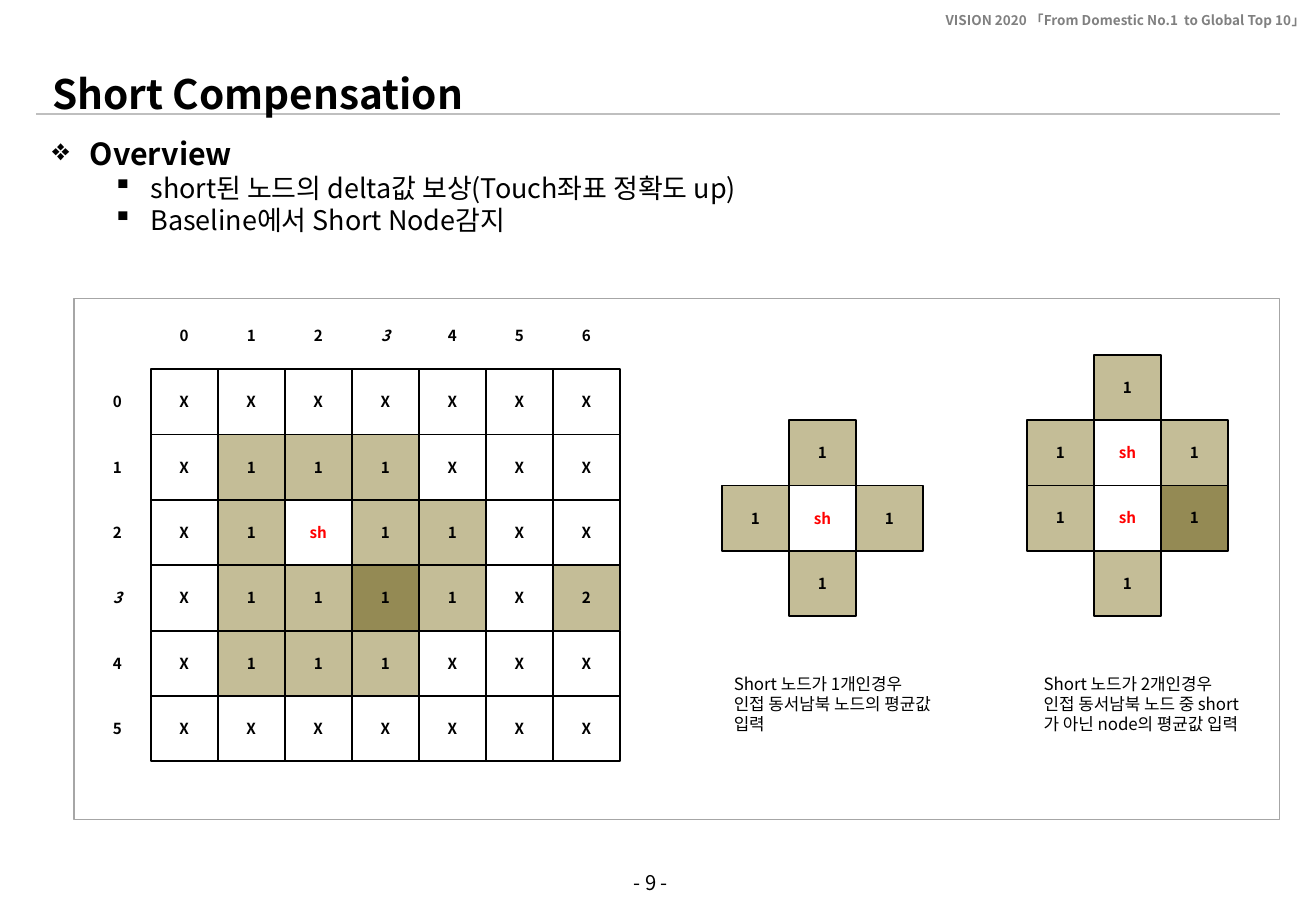
from lxml.etree import SubElement
from pptx import Presentation
from pptx.dml.color import RGBColor
from pptx.enum.shapes import MSO_CONNECTOR, MSO_SHAPE
from pptx.enum.text import MSO_ANCHOR, PP_ALIGN
from pptx.oxml.ns import qn
from pptx.util import Inches, Pt

FACE = "Noto Sans CJK KR"


def paint(tint):
    return RGBColor.from_string(tint)


def write(shape, lines, size, tint="000000", bold=False, italic=False,
          align=PP_ALIGN.LEFT, anchor=MSO_ANCHOR.TOP):
    frame = shape.text_frame
    frame.word_wrap = True
    frame.vertical_anchor = anchor
    frame.text = "\n".join(lines)
    for para in frame.paragraphs:
        para.alignment = align
        para.line_spacing = Pt(size * 1.18)
        font = para.runs[0].font
        style = {"name": FACE, "size": Pt(size), "bold": bold, "italic": italic}
        for key, value in style.items():
            setattr(font, key, value)
        font.color.rgb = paint(tint)
        SubElement(font._element, qn("a:ea"), typeface=FACE)
    return frame


deck = Presentation()
deck.slide_width = Inches(10.83)
deck.slide_height = Inches(7.5)
slide = deck.slides.add_slide(deck.slide_layouts[6])
shapes = slide.shapes

rule = shapes.add_connector(MSO_CONNECTOR.STRAIGHT, Inches(0.3), Inches(0.94),
                            Inches(10.53), Inches(0.94))
rule.line.color.rgb = paint("BFBFBF")
rule.line.width = Pt(1)
SubElement(rule._element.spPr, qn("a:effectLst"))

panel = shapes.add_shape(MSO_SHAPE.RECTANGLE, Inches(0.61), Inches(2.46),
                         Inches(9.92), Inches(4.29))
panel.shadow.inherit = False
panel.fill.background()
panel.line.color.rgb = paint("A6A6A6")
panel.line.width = Pt(0.75)

middle = {"align": PP_ALIGN.CENTER, "anchor": MSO_ANCHOR.MIDDLE}
texts = [
    (6.68, 0.05, 4.16, 0.24, ["VISION 2020 「From Domestic No.1  to Global Top 10」"], 8,
     {"tint": "808080", "bold": True, "align": PP_ALIGN.RIGHT}),
    (0.33, 0.53, 5.87, 0.5, ["Short Compensation"], 24, {"bold": True}),
    (4.19, 7.01, 2.33, 0.52, ["- 9 -"], 12, middle),
    (5.94, 5.5, 1.92, 0.61,
     ["Short 노드가 1개인경우", "인접 동서남북 노드의 평균값 입력"], 10, {}),
    (8.49, 5.5, 1.92, 0.77,
     ["Short 노드가 2개인경우", "인접 동서남북 노드 중 short가 아닌 node의 평균값 입력"], 10, {}),
]
for left, top, width, height, lines, size, look in texts:
    box = shapes.add_textbox(Inches(left), Inches(top), Inches(width), Inches(height))
    write(box, lines, size, **look)

body = shapes.add_textbox(Inches(0.33), Inches(1.07), Inches(10.21), Inches(0.94))
points = write(body, ["Overview", "short된 노드의 delta값 보상(Touch좌표 정확도 up)",
                      "Baseline에서 Short Node감지"], 16).paragraphs
for para, mark, indent in zip(points, "❖▪▪", (0.31, 0.81, 0.81)):
    props = para._p.get_or_add_pPr()
    props.set("marL", str(Inches(indent)))
    props.set("indent", str(Inches(-0.31)))
    SubElement(props, qn("a:buChar"), char=mark)
for para in points[1:]:
    para.level = 1
head = points[0]
head.line_spacing = Pt(18 * 1.18)
head.runs[0].font.size = Pt(18)
head.runs[0].font.bold = True

wide = 3.31 / 6
high = 2.69 / 5
kinds = {
    "X": ("X", None, "000000"),
    "1": ("1", "C4BD97", "000000"),
    "2": ("2", "C4BD97", "000000"),
    "D": ("1", "948A54", "000000"),
    "S": ("sh", None, "FF0000"),
}
grids = [
    (1.24, 3.04, ["XXXXXXX", "X111XXX", "X1S11XX", "X11D1X2", "X111XXX", "XXXXXXX"]),
    (5.94, 3.46, [" 1 ", "1S1", " 1 "]),
    (8.45, 2.92, [" 1 ", "1S1", "1SD", " 1 "]),
]
for left, top, rows in grids:
    for row, codes in enumerate(rows):
        for col, code in enumerate(codes):
            if code == " ":
                continue
            label, fill, tint = kinds[code]
            cell = shapes.add_shape(MSO_SHAPE.RECTANGLE, Inches(left + col * wide),
                                    Inches(top + row * high), Inches(wide), Inches(high))
            cell.shadow.inherit = False
            if fill:
                cell.fill.solid()
                cell.fill.fore_color.rgb = paint(fill)
            else:
                cell.fill.background()
            cell.line.color.rgb = paint("000000")
            cell.line.width = Pt(1)
            write(cell, [label], 9, tint, bold=True, **middle)

spots = [(num, 1.24 + num * wide, 2.49) for num in range(7)]
spots += [(num, 0.69, 3.04 + num * high) for num in range(6)]
for num, left, top in spots:
    box = shapes.add_textbox(Inches(left), Inches(top), Inches(wide), Inches(high))
    write(box, [str(num)], 9, bold=True, italic=num == 3, **middle)

deck.save("out.pptx")
